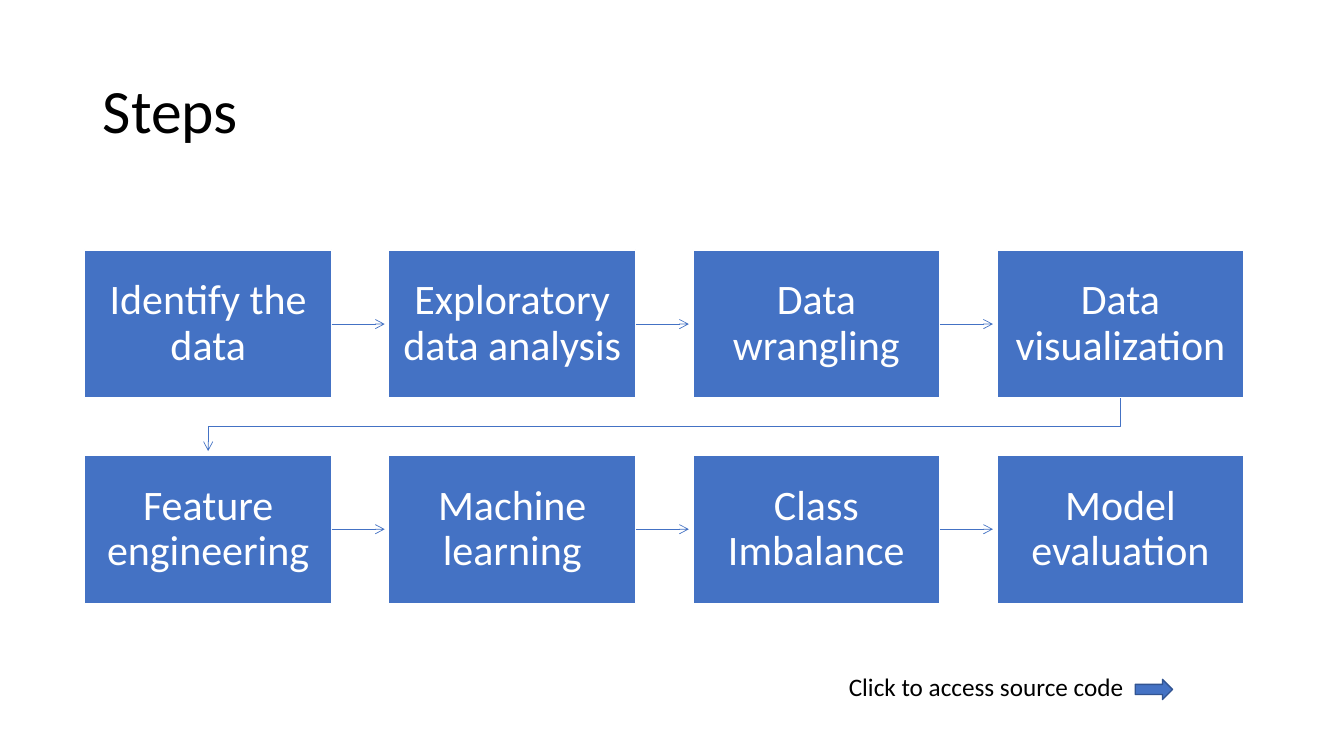
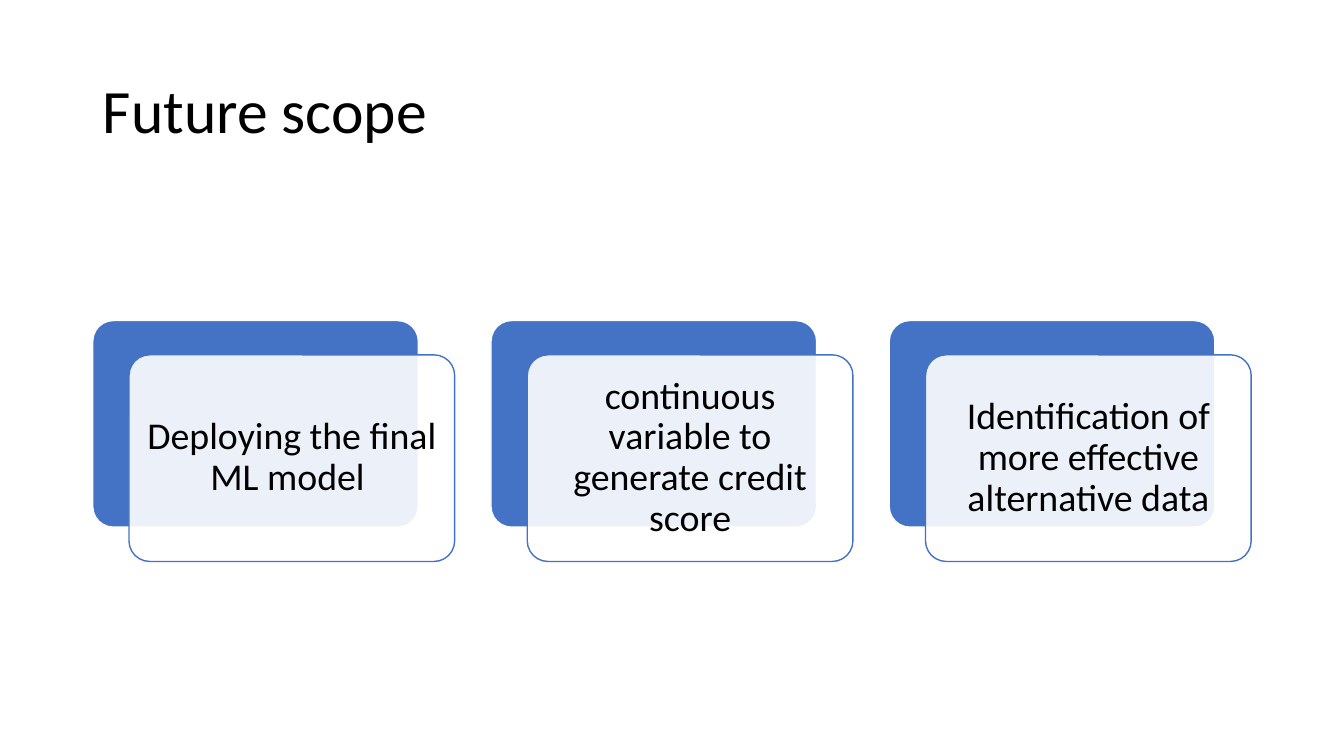
from dataclasses import dataclass
from pptx import Presentation
from pptx.dml.color import RGBColor
from pptx.enum import shapes, text
from pptx.oxml import ns
from pptx.util import Inches, Pt
from lxml import etree


@dataclass(frozen=True)
class Theme:
    blue: str = "4472C4"
    edge: str = "325491"
    white: str = "FFFFFF"
    black: str = "000000"
    font: str = "Calibri"
    title: int = 44
    step: int = 30
    card: int = 27
    note: int = 18


def write(shape, words, size, color, align, pad=(0.1, 0.05), space=0.9):
    frame = shape.text_frame
    frame.word_wrap = True
    frame.auto_size = text.MSO_AUTO_SIZE.NONE
    frame.vertical_anchor = text.MSO_ANCHOR.MIDDLE
    frame.margin_left = frame.margin_right = Inches(pad[0])
    frame.margin_top = frame.margin_bottom = Inches(pad[1])
    para = frame.paragraphs[0]
    para.alignment = align
    para.line_spacing = space
    run = para.add_run()
    run.text = words
    run.font.name = theme.font
    run.font.size = Pt(size)
    run.font.color.rgb = RGBColor.from_string(color)


def paint(shape, fill, line, width=1):
    shape.shadow.inherit = False
    if fill:
        shape.fill.solid()
        shape.fill.fore_color.rgb = RGBColor.from_string(fill)
    else:
        shape.fill.background()
    shape.line.color.rgb = RGBColor.from_string(line)
    shape.line.width = Pt(width)


theme = Theme()
kind = shapes.MSO_SHAPE
left, center = text.PP_ALIGN.LEFT, text.PP_ALIGN.CENTER
deck = Presentation()
deck.slide_width, deck.slide_height = Inches(13.33), Inches(7.5)

pages = []
for name in ("Steps", "Future scope"):
    page = deck.slides.add_slide(deck.slide_layouts[5])
    head = page.shapes.title
    head.left, head.top = Inches(0.92), Inches(0.4)
    head.width, head.height = Inches(11.5), Inches(1.45)
    write(head, name, theme.title, theme.black, left)
    pages.append(page)
flow, scope = pages

steps = (
    ("Identify the data", "Exploratory data analysis", "Data wrangling", "Data visualization"),
    ("Feature engineering", "Machine learning", "Class Imbalance", "Model evaluation"),
)
wide, high = 2.45, 1.47
rows = []
for r, names in enumerate(steps):
    row = []
    for c, name in enumerate(names):
        box = flow.shapes.add_shape(
            kind.RECTANGLE, Inches(0.84 + c * 3.016), Inches(2.48 + r * 2.035),
            Inches(wide), Inches(high))
        paint(box, theme.blue, theme.white)
        write(box, name, theme.step, theme.white, center, (0.12, 0.13))
        row.append(box)
    rows.append(row)

lines = []
gap = Inches(0.04)
for row in rows:
    for box, after in zip(row, row[1:]):
        mid = box.top + box.height // 2
        link = flow.shapes.add_connector(
            shapes.MSO_CONNECTOR.STRAIGHT, box.left + box.width, mid, after.left - gap, mid)
        link.begin_connect(box, 3)
        link.line.color.rgb = RGBColor.from_string(theme.blue)
        link.line.width = Pt(0.5)
        etree.SubElement(link._element.spPr, ns.qn("a:effectLst"))
        lines.append(link)

last, first = rows[0][-1], rows[1][0]
start = last.left + last.width // 2
end = first.left + first.width // 2
base = last.top + last.height
turn = (base + first.top) // 2
pen = flow.shapes.build_freeform(start, base)
pen.add_line_segments([(start, turn), (end, turn), (end, first.top - gap)], close=False)
bend = pen.convert_to_shape()
paint(bend, None, theme.blue, 0.5)
lines.append(bend)

for link in lines:
    tail = etree.SubElement(link.line._get_or_add_ln(), ns.qn("a:tailEnd"))
    tail.set("type", "arrow")

note = flow.shapes.add_textbox(Inches(8.32), Inches(6.61), Inches(2.95), Inches(0.4))
write(note, "Click to access source code", theme.note, theme.black, left, space=1.0)
arrow = flow.shapes.add_shape(
    kind.RIGHT_ARROW, Inches(11.26), Inches(6.74), Inches(0.37), Inches(0.2))
paint(arrow, theme.blue, theme.edge)

plans = (
    "Deploying the final ML model ",
    "continuous variable to generate credit score",
    "Identification of more effective alternative data",
)
for i, plan in enumerate(plans):
    x = 0.92 + i * 3.95
    for dx, y, fill, line in ((0, 3.18, theme.blue, theme.white),
                              (0.36, 3.52, theme.white, theme.blue)):
        card = scope.shapes.add_shape(
            kind.ROUNDED_RECTANGLE, Inches(x + dx), Inches(y), Inches(3.23), Inches(2.05))
        card.adjustments[0] = 0.1
        paint(card, fill, line)
    tone = card._element.spPr.find(ns.qn("a:solidFill"))[0]
    etree.SubElement(tone, ns.qn("a:alpha")).set("val", "90000")
    write(card, plan, theme.card, theme.black, center, (0.1, 0.11))

deck.save("out.pptx")
